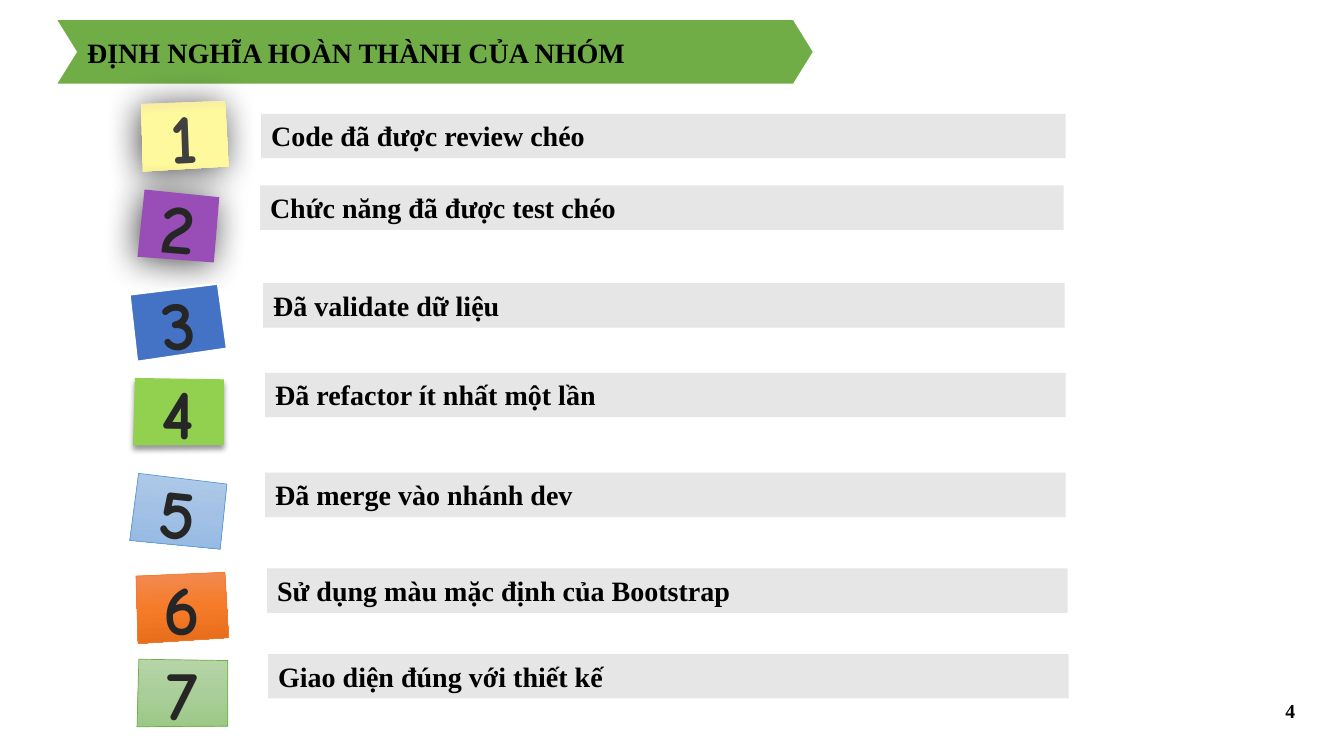
from copy import deepcopy

from lxml import etree
from pptx import Presentation
from pptx.dml.color import RGBColor
from pptx.enum.shapes import MSO_SHAPE
from pptx.enum.text import MSO_ANCHOR, MSO_AUTO_SIZE, PP_ALIGN
from pptx.oxml.ns import qn
from pptx.util import Inches, Pt

RECT, CHEVRON = MSO_SHAPE.RECTANGLE, MSO_SHAPE.CHEVRON
TOP, MIDDLE = MSO_ANCHOR.TOP, MSO_ANCHOR.MIDDLE
LEFT, CENTER = PP_ALIGN.LEFT, PP_ALIGN.CENTER
GROW = MSO_AUTO_SIZE.SHAPE_TO_FIT_TEXT

CELL = Inches(0.1)  # the slide is a grid of 0.1 inch squares
SERIF, HAND = "Times New Roman", "Comic Neue"
BLACK, DARK = "000000", "262626"
BAR_HEIGHT = 4.4

# Corners of a sticky note as shares of its box
NOTE_CORNERS = [(0.02, 0), (1, 0.02), (1, 0.99), (0, 1)]

# Shadows: opacity %, blur pt, distance pt, direction in degrees
SOFT = (70, 25, 3, 135)
TIGHT = (40, 4, 3, 90)

# Criteria: text, bar (left, top, width), note (left, top, width, turn),
# fill colour or gradient stops, outline (colour, pt), shadow
CRITERIA = [
    ("Code đã được review chéo", (25.9, 11.3, 79.8), (14, 10.1, 8.5, -3),
     [(0, "F6E7A6"), (0.21, "FEF99C"), (1, "FEF99C")], None, SOFT),
    ("Chức năng đã được test chéo", (25.8, 18.4, 79.7), (13.9, 19.1, 7.6, 4.8),
     "984EB6", None, SOFT),
    ("Đã validate dữ liệu", (26.1, 28.1, 79.5), (13.1, 28.6, 9, -7.9),
     "4472C4", ("FFFFFF", 1.5), None),
    ("Đã refactor ít nhất một lần", (26.3, 37, 79.4), (13.2, 37.5, 9, 0),
     "92D050", None, TIGHT),
    ("Đã merge vào nhánh dev", (26.3, 46.9, 79.4), (13.2, 47.4, 9, 6),
     [(0, "B1CBE9"), (0.5, "A3C1E5"), (1, "93B9E4")], ("5B9BD5", 0.5), None),
    ("Sử dụng màu mặc định của Bootstrap", (26.5, 56.4, 79.4), (13.5, 56.9, 9, -3.3),
     [(0, "F18C57"), (0.5, "F67B28"), (1, "E56C19")], ("ED7D31", 0.5), None),
    ("Giao diện đúng với thiết kế", (26.6, 64.9, 79.4), (13.6, 65.4, 9, 0),
     [(0, "B5D5A7"), (0.5, "AACE9A"), (1, "9CC987")], ("70AD47", 0.5), None),
]


def color(value):
    return RGBColor.from_string(value)


def cells(*values):
    return [round(v * CELL) for v in values]


def write(sp, text, size, font=SERIF, ink=BLACK, align=LEFT, anchor=TOP):
    tf = sp.text_frame
    tf.text = text
    tf.vertical_anchor = anchor
    p = tf.paragraphs[0]
    p.alignment = align
    r = p.runs[0]
    r.font.name, r.font.size, r.font.bold = font, Pt(size), True
    r.font.color.rgb = color(ink)
    return tf


def paint(sp, fill, line=None):
    sp.shadow.inherit = False
    if isinstance(fill, str):
        sp.fill.solid()
        sp.fill.fore_color.rgb = color(fill)
    else:
        sp.fill.gradient()
        sp.fill.gradient_angle = 270
        stops = sp.element.spPr.find(".//" + qn("a:gsLst"))
        stops.append(deepcopy(stops[0]))
        for stop, (position, value) in zip(sp.fill.gradient_stops, fill):
            stop.position = position
            stop.color.rgb = color(value)
    if line:
        sp.line.color.rgb = color(line[0])
        sp.line.width = Pt(line[1])
    else:
        sp.line.fill.background()


def cast_shadow(sp, opacity, blur, distance, direction):
    effects = sp.element.spPr.find(qn("a:effectLst"))
    shadow = etree.SubElement(
        effects, qn("a:outerShdw"), blurRad=str(Pt(blur)), dist=str(Pt(distance)),
        dir=str(direction * 60000), algn="ctr", rotWithShape="0")
    ink = etree.SubElement(shadow, qn("a:srgbClr"), val=BLACK)
    etree.SubElement(ink, qn("a:alpha"), val=str(opacity * 1000))


def add_title(s, text):
    sp = s.shapes.add_shape(CHEVRON, *cells(5.7, 2, 74.9, 6.3))
    sp.adjustments[0] = 0.31
    paint(sp, "70AD47")
    write(sp, text, 20, anchor=MIDDLE)


def add_bar(s, text, left, top, width):
    sp = s.shapes.add_shape(RECT, *cells(left, top, width, BAR_HEIGHT))
    paint(sp, "E7E6E6")
    write(sp, text, 20).auto_size = GROW


def add_note(s, number, box, fill, line, shadow):
    left, top, width, turn = box
    height = 6.7
    points = [cells(left + x * width, top + y * height) for x, y in NOTE_CORNERS]
    builder = s.shapes.build_freeform(*points[0])
    builder.add_line_segments(points[1:], close=True)
    sp = builder.convert_to_shape()
    sp.rotation = turn
    paint(sp, fill, line)
    if shadow:
        cast_shadow(sp, *shadow)
    ink = "404040" if number == 1 else DARK
    tf = write(sp, str(number), 50, HAND, ink, CENTER, MIDDLE)
    tf.margin_left = tf.margin_right = tf.margin_top = tf.margin_bottom = Inches(0.05)


def add_page_number(s, number):
    sp = s.shapes.add_textbox(*cells(126.5, 68.8, 3, 3.4))
    tf = write(sp, str(number), 14)
    tf.word_wrap = False
    tf.auto_size = GROW


def main():
    prs = Presentation()
    prs.slide_width, prs.slide_height = Inches(13.33), Inches(7.5)
    s = prs.slides.add_slide(prs.slide_layouts[6])

    add_title(s, "ĐỊNH NGHĨA HOÀN THÀNH CỦA NHÓM")

    # One grey bar and one numbered note per criterion
    for number, (text, bar, note, fill, line, shadow) in enumerate(CRITERIA, 1):
        add_bar(s, text, *bar)
        add_note(s, number, note, fill, line, shadow)

    add_page_number(s, 4)
    prs.save("out.pptx")


if __name__ == "__main__":
    main()
